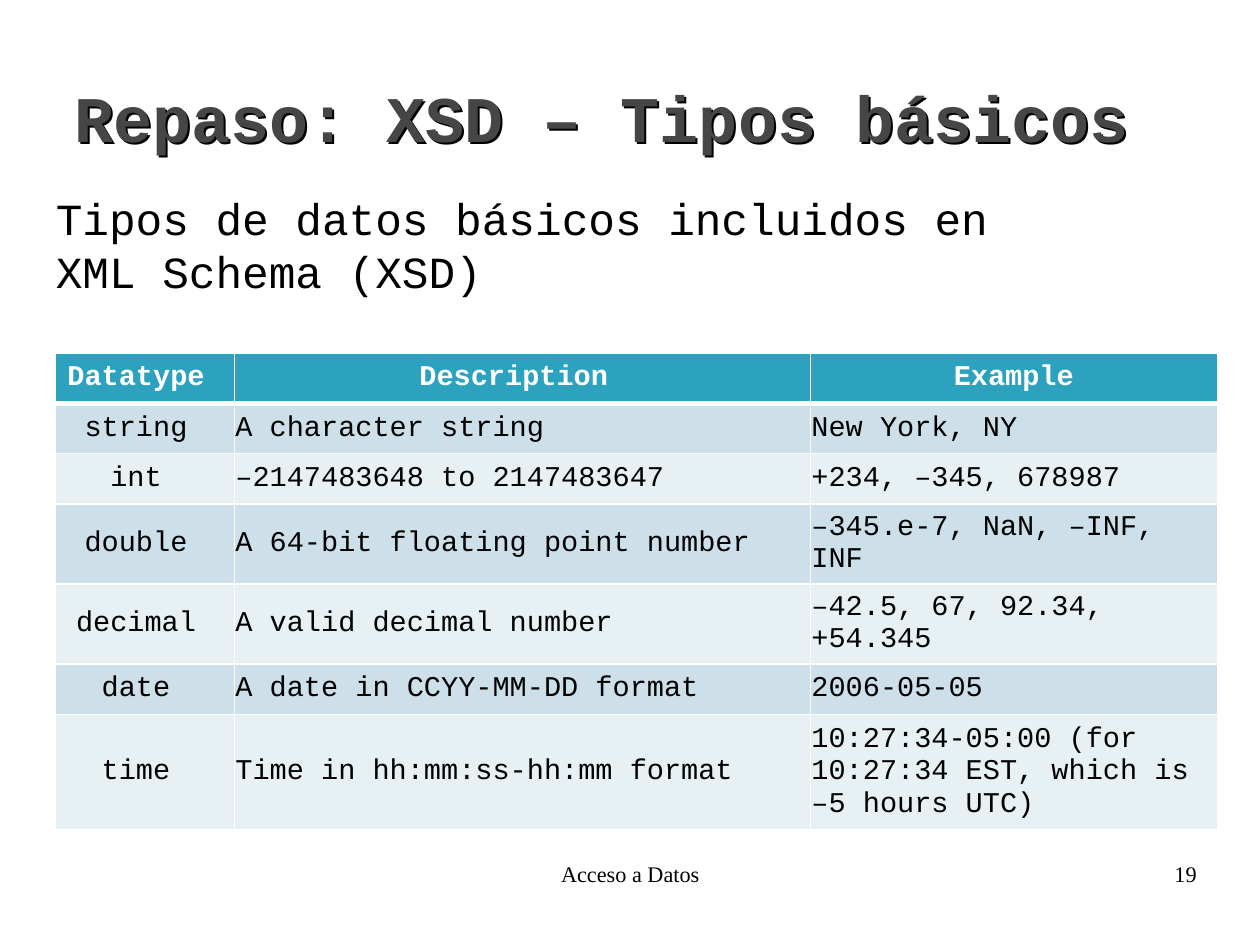
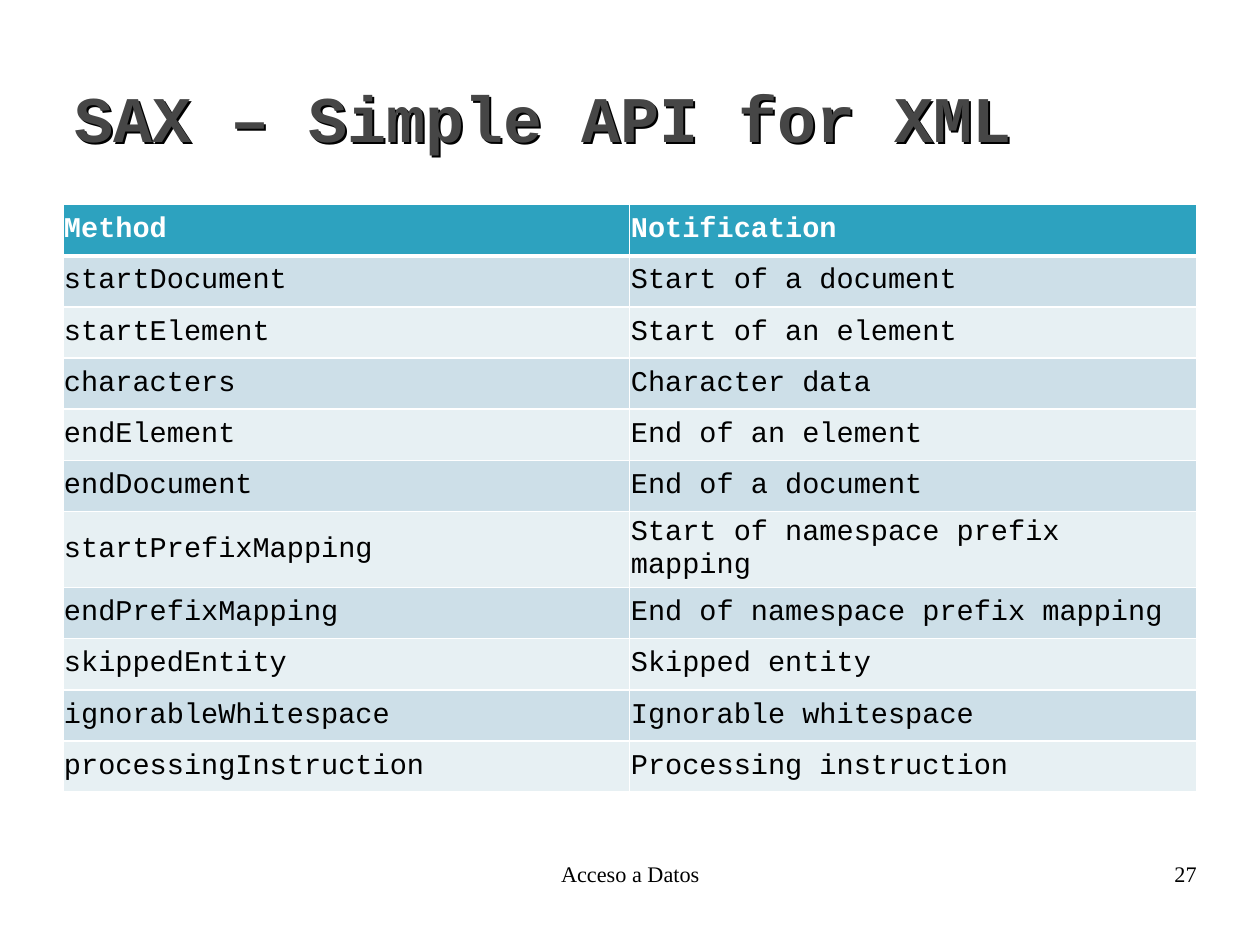
"""Builds two slides on XSD basic types and SAX notifications."""
from lxml import etree
from pptx import Presentation
from pptx.dml.color import RGBColor
from pptx.enum.text import MSO_ANCHOR, MSO_AUTO_SIZE, PP_ALIGN
from pptx.oxml import parse_xml
from pptx.oxml.ns import nsdecls, qn
from pptx.util import Inches, Pt

LEFT, CENTER, RIGHT = PP_ALIGN.LEFT, PP_ALIGN.CENTER, PP_ALIGN.RIGHT
MIDDLE = MSO_ANCHOR.MIDDLE
NO_AUTOFIT = MSO_AUTO_SIZE.NONE
TITLE_ONLY = 5
CM_PER_INCH = 2.54
CODE_FONT, FOOTER_FONT = "Courier New", "Times New Roman"
BLACK, WHITE, TITLE_GRAY = "000000", "FFFFFF", "464646"
HEADER_FILL, BAND_FILLS = "2DA2BF", ("CDDFE8", "E7F0F3")

SLIDES = [
    {
        "title": "Repaso: XSD – Tipos básicos",
        "intro": "Tipos de datos básicos incluidos en XML Schema (XSD)",
        "number": "19",
        "box": (0.48, 3.09, 10.17, 3.91),
        "columns": (1.57, 5.04, 3.56),
        "heights": (0.44, 0.44, 0.44, 0.44, 0.68, 0.44, 1.01),
        "header_align": CENTER,
        "column_aligns": (CENTER, LEFT, LEFT),
        "rows": [
            ("Datatype ", "Description ", "Example"),
            ("string ", "A character string", "New York, NY"),
            ("int ", "–2147483648 to 2147483647", "+234, –345, 678987"),
            ("double ", "A 64-bit floating point number", "–345.e-7, NaN, –INF, INF"),
            ("decimal ", "A valid decimal number", "–42.5, 67, 92.34, +54.345"),
            ("date ", "A date in CCYY-MM-DD format", "2006-05-05"),
            ("time ", "Time in hh:mm:ss-hh:mm format",
             "10:27:34-05:00 (for 10:27:34 EST, which is –5 hours UTC)"),
        ],
    },
    {
        "title": "SAX – Simple API for XML",
        "intro": None,
        "number": "27",
        "box": (0.55, 1.79, 9.92, 4.92),
        "columns": (4.96, 4.96),
        "heights": (),
        "header_align": LEFT,
        "column_aligns": (LEFT, LEFT),
        "rows": [
            ("Method", "Notification"),
            ("startDocument", "Start of a document"),
            ("startElement", "Start of an element"),
            ("characters", "Character data"),
            ("endElement", "End of an element"),
            ("endDocument", "End of a document"),
            ("startPrefixMapping", "Start of namespace prefix mapping"),
            ("endPrefixMapping", "End of namespace prefix mapping"),
            ("skippedEntity", "Skipped entity"),
            ("ignorableWhitespace", "Ignorable whitespace"),
            ("processingInstruction", "Processing instruction"),
        ],
    },
]


def rgb(color):
    return RGBColor.from_string(color)


def write(frame, text, size, font, color, align=LEFT, bold=False):
    frame.word_wrap = True
    paragraph = frame.paragraphs[0]
    paragraph.alignment = align
    run = paragraph.add_run()
    run.text = text
    run.font.size = Pt(size)
    run.font.name = font
    run.font.bold = bold
    run.font.color.rgb = rgb(color)


prs = Presentation()
prs.slide_width, prs.slide_height = Inches(28 / CM_PER_INCH), Inches(21 / CM_PER_INCH)

for content in SLIDES:
    slide = prs.slides.add_slide(prs.slide_layouts[TITLE_ONLY])

    title = slide.shapes.title
    title.left, title.top = Inches(0.55), Inches(0.33)
    title.width, title.height = Inches(9.92), Inches(1.38)
    title.text_frame.auto_size = NO_AUTOFIT
    title.text_frame.vertical_anchor = MIDDLE
    write(title.text_frame, content["title"], 41, CODE_FONT, TITLE_GRAY, bold=True)
    title.fill.background()
    title.element.spPr.append(parse_xml(
        f'<a:effectLst {nsdecls("a")}><a:outerShdw dist="{Pt(1.8)}" dir="2700000">'
        f'<a:srgbClr val="{BLACK}"/></a:outerShdw></a:effectLst>'))

    if content["intro"]:
        intro = slide.shapes.add_textbox(Inches(0.39), Inches(1.62), Inches(9.11), Inches(1.03))
        write(intro.text_frame, content["intro"], 28, CODE_FONT, BLACK)

    rows = content["rows"]
    table = slide.shapes.add_table(
        len(rows), len(rows[0]), *[Inches(length) for length in content["box"]]).table
    table.horz_banding = False
    for column, width in zip(table.columns, content["columns"]):
        column.width = Inches(width)
    for row, height in zip(table.rows, content["heights"]):
        row.height = Inches(height)

    for r, texts in enumerate(rows):
        header = r == 0
        for c, text in enumerate(texts):
            cell = table.cell(r, c)
            cell.vertical_anchor = MIDDLE
            cell.margin_left = cell.margin_right = Inches(0.01)
            cell.margin_top = cell.margin_bottom = Inches(0.05)
            write(cell.text_frame, text, 18, CODE_FONT, WHITE if header else BLACK,
                  content["header_align"] if header else content["column_aligns"][c], header)
            properties = cell._tc.get_or_add_tcPr()
            for side in ("lnL", "lnR", "lnT", "lnB"):
                under_header = (r, side) in ((0, "lnB"), (1, "lnT"))
                border = etree.SubElement(
                    properties, qn(f"a:{side}"), w=str(Pt(3 if under_header else 0.96)))
                border_fill = etree.SubElement(border, qn("a:solidFill"))
                etree.SubElement(border_fill, qn("a:srgbClr"), val=WHITE)
            cell.fill.solid()
            cell.fill.fore_color.rgb = rgb(HEADER_FILL if header else BAND_FILLS[(r - 1) % 2])

    for text, left, width, align in (
        ("Acceso a Datos", 3.77, 3.49, CENTER),
        (content["number"], 7.9, 2.57, RIGHT),
    ):
        footer = slide.shapes.add_textbox(Inches(left), Inches(7.53), Inches(width), Inches(0.57))
        frame = footer.text_frame
        frame.margin_left = frame.margin_right = frame.margin_top = frame.margin_bottom = 0
        write(frame, text, 14, FOOTER_FONT, BLACK, align)

prs.save("out.pptx")
